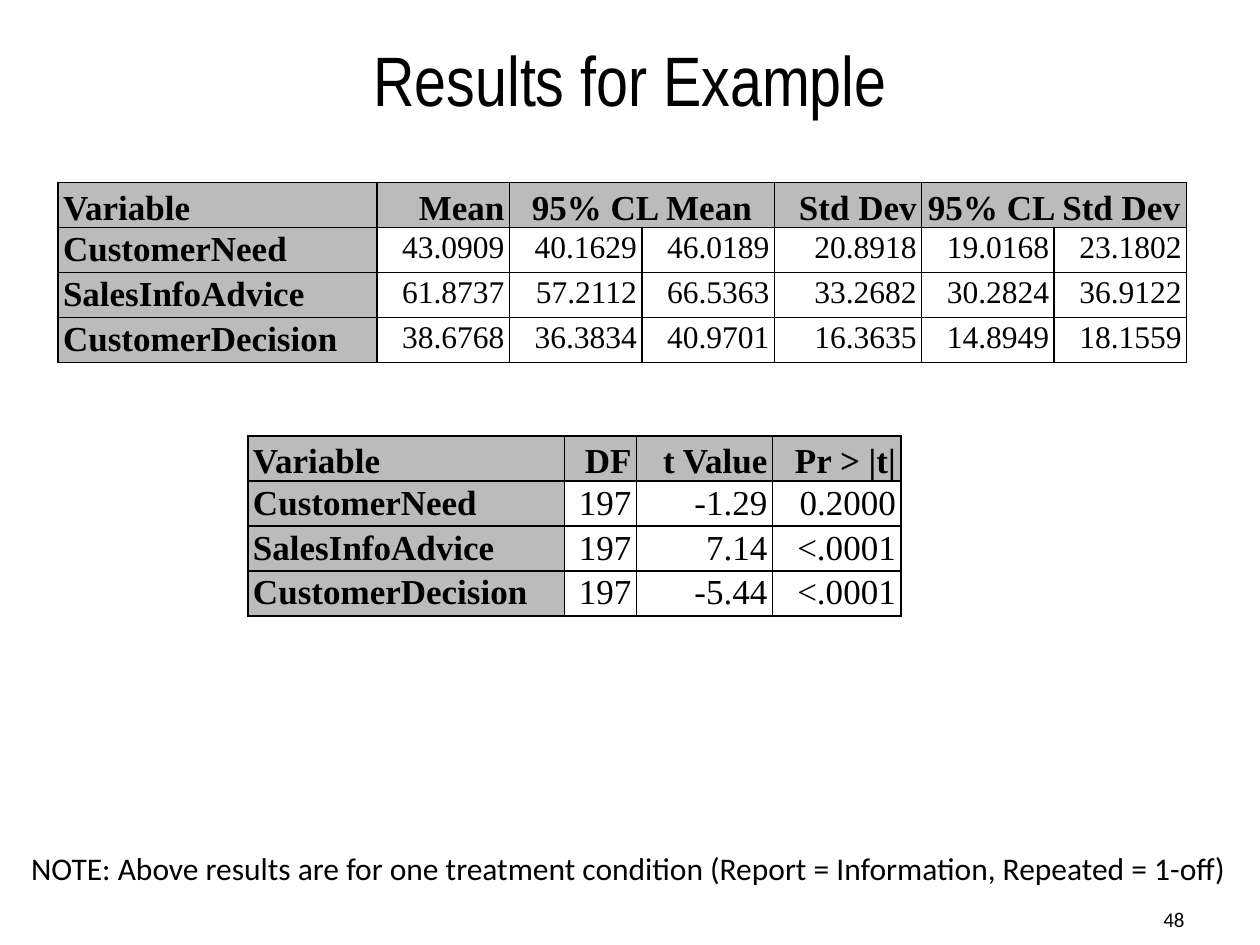
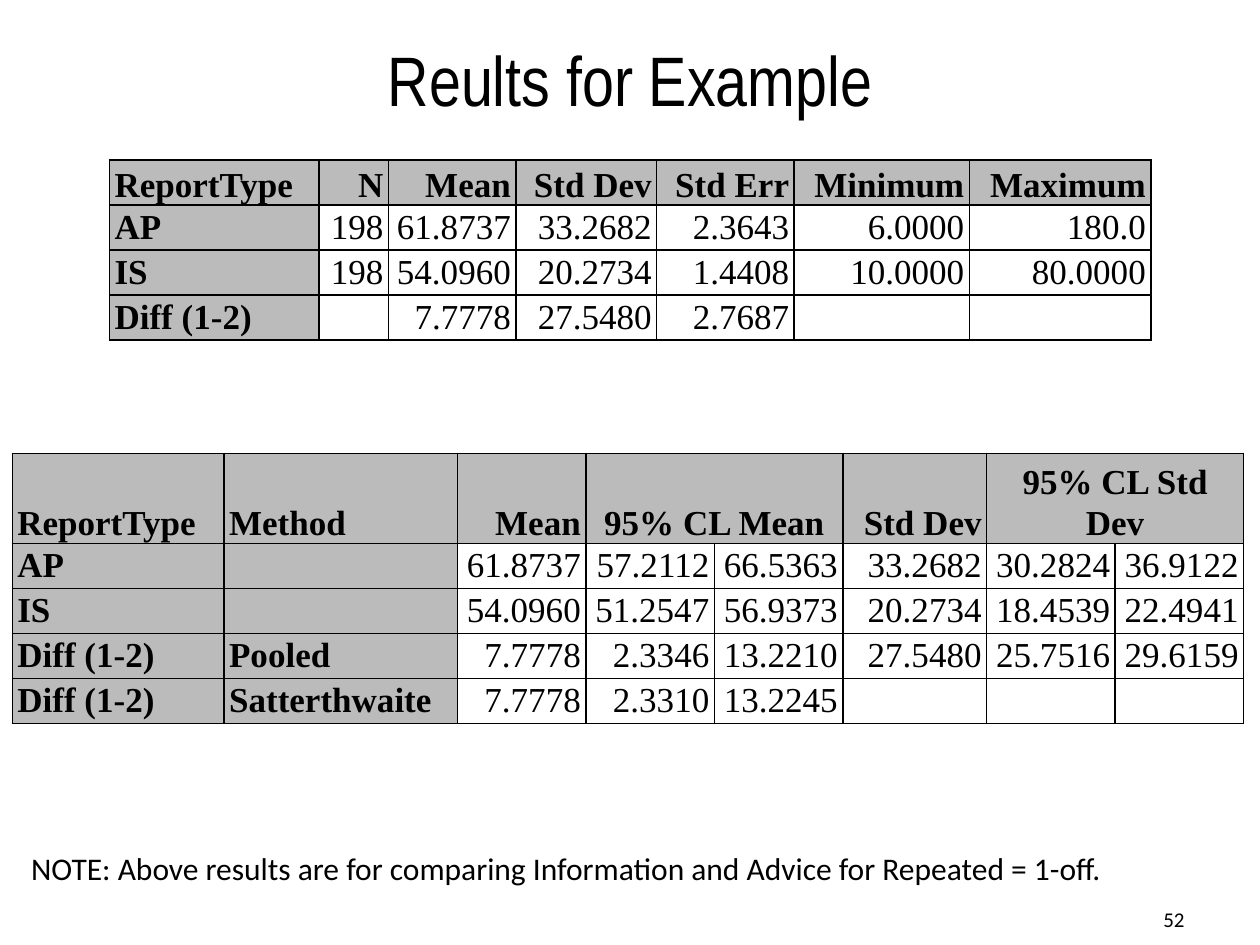
"""Builds two slides of statistical results."""
from dataclasses import dataclass

from lxml import etree
from pptx import Presentation
from pptx.dml.color import RGBColor
from pptx.enum.text import MSO_ANCHOR, MSO_AUTO_SIZE, PP_ALIGN
from pptx.oxml.ns import qn
from pptx.util import Cm, Pt

BLACK = RGBColor(0x00, 0x00, 0x00)
WHITE = RGBColor(0xFF, 0xFF, 0xFF)
GREY = RGBColor(0xBB, 0xBB, 0xBB)
LEFT, CENTER, RIGHT = PP_ALIGN.LEFT, PP_ALIGN.CENTER, PP_ALIGN.RIGHT
TOP, MIDDLE, BOTTOM = MSO_ANCHOR.TOP, MSO_ANCHOR.MIDDLE, MSO_ANCHOR.BOTTOM
NO_FIT = MSO_AUTO_SIZE.NONE
TITLE_FONT, BODY_FONT, GRID_FONT = "Arial Narrow", "Calibri", "Times New Roman"
TITLE_ONLY = 5
ROW = 0.83
INSET = Cm(0.1)


@dataclass(frozen=True)
class Box:
    left: float
    top: float
    width: float
    height: float


@dataclass(frozen=True)
class Grid:
    left: float
    top: float
    widths: list[float]
    rows: list[list[str | None]]
    heads: int = 1
    lines: int = 1
    size: int = 20


@dataclass(frozen=True)
class Page:
    title: str
    number: str
    note: str
    grids: list[Grid]


TITLE_BOX = Box(1.27, 0, 22.86, 3.18)
PAGE_BOX = Box(18.21, 18.01, 5.92, 1.02)
NOTE_BOX = Box(0.38, 16.99, 24.92, 1.02)

PAGES = [
    Page(
        "Results for Example", "48",
        "NOTE: Above results are for one treatment condition (Report = Information, Repeated = 1-off)",
        [
            Grid(1.17, 3.68, [6.43, 2.67, 2.67, 2.67, 2.97, 2.67, 2.67], [
                ["Variable", "Mean", "95% CL Mean", None, "Std Dev", "95% CL Std Dev", None],
                ["CustomerNeed", "43.0909", "40.1629", "46.0189", "20.8918", "19.0168", "23.1802"],
                ["SalesInfoAdvice", "61.8737", "57.2112", "66.5363", "33.2682", "30.2824", "36.9122"],
                ["CustomerDecision", "38.6768", "36.3834", "40.9701", "16.3635", "14.8949", "18.1559"],
            ], size=18),
            Grid(5, 8.79, [6.38, 1.45, 2.74, 2.59], [
                ["Variable", "DF", "t Value", "Pr > |t|"],
                ["CustomerNeed", "197", "-1.29", "0.2000"],
                ["SalesInfoAdvice", "197", "7.14", "<.0001"],
                ["CustomerDecision", "197", "-5.44", "<.0001"],
            ]),
        ],
    ),
    Page(
        "Reults for Example", "52",
        "NOTE: Above results are for comparing Information and Advice for Repeated = 1-off.",
        [
            Grid(2.21, 3.23, [4.22, 1.4, 2.57, 2.84, 2.77, 3.53, 3.66], [
                ["ReportType", "N", "Mean", "Std Dev", "Std Err", "Minimum", "Maximum"],
                ["AP", "198", "61.8737", "33.2682", "2.3643", "6.0000", "180.0"],
                ["IS", "198", "54.0960", "20.2734", "1.4408", "10.0000", "80.0000"],
                ["Diff (1-2)", "", "7.7778", "27.5480", "2.7687", "", ""],
            ]),
            Grid(0.25, 9.14, [4.27, 4.7, 2.59, 2.59, 2.59, 2.9, 2.59, 2.59], [
                ["ReportType", "Method", "Mean", "95% CL Mean", None, "Std Dev", "95% CL Std Dev", None],
                ["AP", "", "61.8737", "57.2112", "66.5363", "33.2682", "30.2824", "36.9122"],
                ["IS", "", "54.0960", "51.2547", "56.9373", "20.2734", "18.4539", "22.4941"],
                ["Diff (1-2)", "Pooled", "7.7778", "2.3346", "13.2210", "27.5480", "25.7516", "29.6159"],
                ["Diff (1-2)", "Satterthwaite", "7.7778", "2.3310", "13.2245", "", "", ""],
            ], heads=2, lines=2),
        ],
    ),
]


def write(para, text: str, font: str, size: int, align, bold: bool = False) -> None:
    """Add one styled run to a paragraph."""
    para.alignment = align
    run = para.add_run()
    run.text = text
    run.font.name = font
    run.font.size = Pt(size)
    run.font.bold = bold
    run.font.color.rgb = BLACK


def place(shape, box: Box) -> None:
    """Move a shape to its box."""
    shape.left, shape.top = Cm(box.left), Cm(box.top)
    shape.width, shape.height = Cm(box.width), Cm(box.height)


def add_text(slide, box: Box, text: str, size: int, align, anchor) -> None:
    """Add a text box with one line."""
    shape = slide.shapes.add_textbox(0, 0, 0, 0)
    place(shape, box)
    frame = shape.text_frame
    frame.word_wrap = True
    frame.vertical_anchor = anchor
    write(frame.paragraphs[0], text, BODY_FONT, size, align)


def add_lines(cell) -> None:
    """Draw thin black lines on all sides of a cell."""
    props = cell._tc.get_or_add_tcPr()
    for side in ("a:lnL", "a:lnR", "a:lnT", "a:lnB"):
        line = etree.SubElement(props, qn(side), w=str(Pt(1)))
        fill = etree.SubElement(line, qn("a:solidFill"))
        etree.SubElement(fill, qn("a:srgbClr"), val=str(BLACK))


def fill_cell(cell, text: str, size: int, align, head: bool, label: bool) -> None:
    """Style one cell and write its text."""
    add_lines(cell)
    cell.fill.solid()
    cell.fill.fore_color.rgb = GREY if label else WHITE
    cell.margin_left = cell.margin_right = INSET
    cell.margin_top = cell.margin_bottom = 0
    cell.vertical_anchor = BOTTOM if head else TOP
    para = cell.text_frame.paragraphs[0]
    if text:
        para.line_spacing = 1.07
        para.space_after = Pt(3)
        write(para, text, GRID_FONT, size, align, label)


def add_grid(slide, grid: Grid) -> None:
    """Add a table with grey heads and row labels."""
    high = [ROW * grid.lines] + [ROW] * (len(grid.rows) - 1)
    frame = slide.shapes.add_table(
        len(high), len(grid.widths), Cm(grid.left), Cm(grid.top),
        Cm(sum(grid.widths)), Cm(sum(high)))
    table = frame.table
    table.first_row = table.horz_banding = False
    for column, width in zip(table.columns, grid.widths):
        column.width = Cm(width)
    for row, height in zip(table.rows, high):
        row.height = Cm(height)
    for r, texts in enumerate(grid.rows):
        for c, text in enumerate(texts):
            cell = table.cell(r, c)
            head, label = r == 0, r == 0 or c < grid.heads
            wide = None in texts[c + 1:c + 2]
            align = LEFT if c < grid.heads else CENTER if wide else RIGHT
            size = 20 if label else grid.size
            fill_cell(cell, text or "", size, align, head, label)
            if wide:
                cell.merge(table.cell(r, c + 1))


def add_page(deck, page: Page) -> None:
    """Add one slide with title, tables, note and number."""
    slide = deck.slides.add_slide(deck.slide_layouts[TITLE_ONLY])
    title = slide.shapes.title
    place(title, TITLE_BOX)
    title.text_frame.auto_size = NO_FIT
    title.text_frame.vertical_anchor = MIDDLE
    write(title.text_frame.paragraphs[0], page.title, TITLE_FONT, 40, CENTER)
    add_text(slide, PAGE_BOX, page.number, 12, RIGHT, MIDDLE)
    for grid in page.grids:
        add_grid(slide, grid)
    add_text(slide, NOTE_BOX, page.note, 18, LEFT, TOP)


def main() -> None:
    """Build and save the deck."""
    deck = Presentation()
    deck.slide_width, deck.slide_height = Cm(25.4), Cm(19.05)
    for page in PAGES:
        add_page(deck, page)
    deck.save("out.pptx")


if __name__ == "__main__":
    main()
